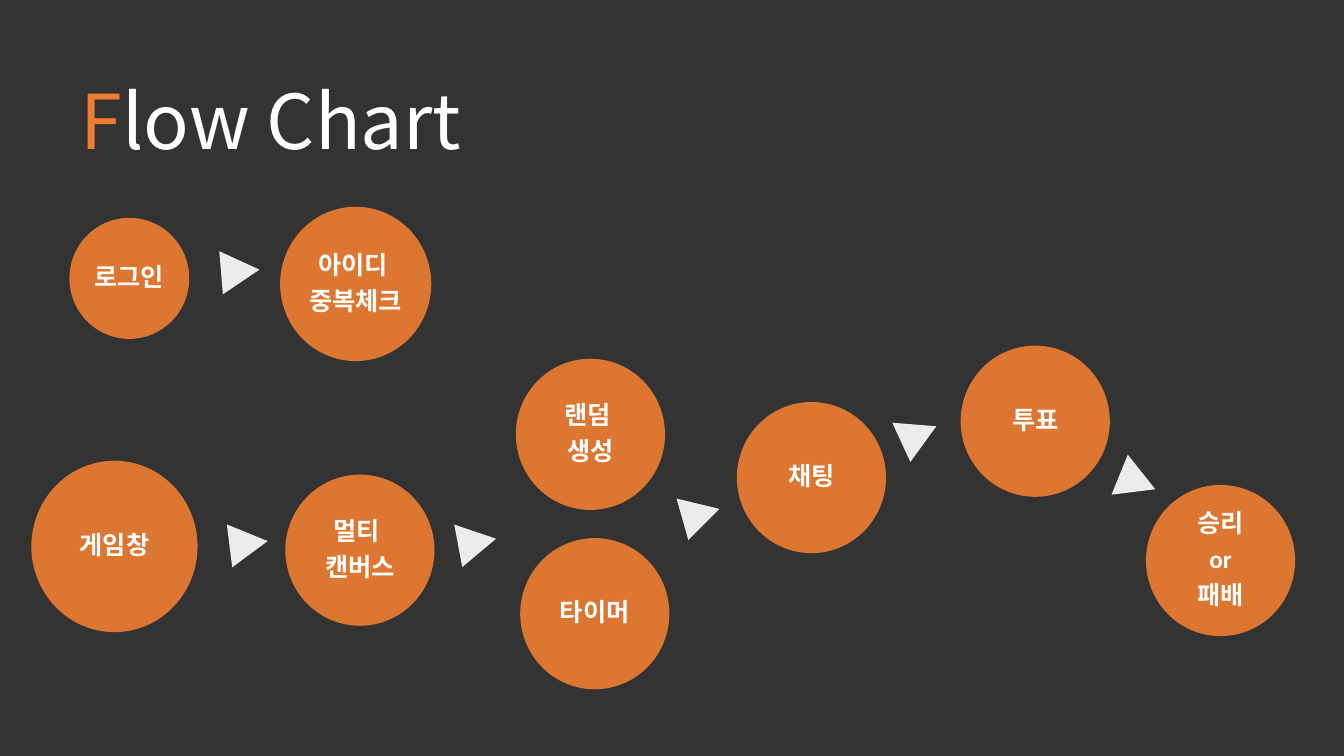
from lxml import etree
from pptx import Presentation
from pptx.dml.color import RGBColor
from pptx.enum.shapes import MSO_SHAPE
from pptx.enum.text import MSO_ANCHOR, MSO_AUTO_SIZE, PP_ALIGN
from pptx.oxml.ns import qn
from pptx.util import Cm, Pt

RECT, OVAL, TRIANGLE = MSO_SHAPE.RECTANGLE, MSO_SHAPE.OVAL, MSO_SHAPE.ISOSCELES_TRIANGLE
MIDDLE, CENTER = MSO_ANCHOR.MIDDLE, PP_ALIGN.CENTER
FIT_SHAPE = MSO_AUTO_SIZE.SHAPE_TO_FIT_TEXT

BLACK = RGBColor(0x00, 0x00, 0x00)
WHITE = RGBColor(0xFF, 0xFF, 0xFF)
ORANGE = RGBColor(0xED, 0x7D, 0x31)

WIDTH, HEIGHT = 33.87, 19.05
STEP_SIZE = (3.76, 3.81)
ARROW_SIZE = (1.09, 0.97)

# Steps: lines, left, top, size
STEPS = [
    (["로그인"], 1.75, 5.49, (3.02, 3.05)),
    (["아이디 ", "중복체크"], 7.06, 5.21, (3.81, 3.89)),
    (["게임창"], 0.79, 11.61, (4.19, 4.32)),
    (["멀티 ", "캔버스"], 7.19, 11.96, STEP_SIZE),
    (["랜덤 ", "생성"], 13.0, 9.04, STEP_SIZE),
    (["타이머"], 13.11, 13.56, STEP_SIZE),
    (["채팅"], 18.57, 10.13, STEP_SIZE),
    (["투표"], 24.21, 8.71, STEP_SIZE),
    (["승리", "or", "패배"], 28.88, 12.22, STEP_SIZE),
]

# Arrows: left, top, rotation
ARROWS = [
    (5.51, 6.35, 85.3),
    (5.72, 13.21, 82.8),
    (11.48, 13.18, 79.4),
    (17.12, 12.47, 74.2),
    (22.61, 10.46, 65.3),
    (28.12, 11.66, 112.2),
]


class FlowSlide:
    title_font, title_size = "Noto Sans CJK KR", Pt(54)
    label_font, label_size = "Calibri", Pt(18)

    def __init__(self, s):
        self.s = s

    def shape(self, kind, left, top, size, color, opacity):
        sp = self.s.shapes.add_shape(kind, Cm(left), Cm(top), Cm(size[0]), Cm(size[1]))
        sp.shadow.inherit = False
        sp.line.fill.background()
        sp.fill.solid()
        sp.fill.fore_color.rgb = color
        clr = sp.fill._xPr.find(qn("a:solidFill"))[0]
        etree.SubElement(clr, qn("a:alpha")).set("val", str(opacity * 1000))
        return sp

    def run(self, p, text, font, size, color, bold=False):
        r = p.add_run()
        r.text = text
        r.font.name, r.font.size, r.font.bold = font, size, bold
        r.font.color.rgb = color

    def title(self, left, top, size, parts):
        sp = self.s.shapes.add_textbox(Cm(left), Cm(top), Cm(size[0]), Cm(size[1]))
        tf = sp.text_frame
        tf.word_wrap = False
        tf.auto_size = FIT_SHAPE
        for text, color in parts:
            self.run(tf.paragraphs[0], text, self.title_font, self.title_size, color)

    def step(self, lines, left, top, size):
        tf = self.shape(OVAL, left, top, size, ORANGE, 91).text_frame
        tf.word_wrap = True
        tf.vertical_anchor = MIDDLE
        tf.margin_left = tf.margin_right = tf.margin_top = tf.margin_bottom = Cm(0.05)
        for i, line in enumerate(lines):
            p = tf.add_paragraph() if i else tf.paragraphs[0]
            p.alignment = CENTER
            p.line_spacing = 0.9
            # Space after as a share of the text size
            after = etree.SubElement(p._p.get_or_add_pPr(), qn("a:spcAft"))
            etree.SubElement(after, qn("a:spcPct")).set("val", "35000")
            self.run(p, line, self.label_font, self.label_size, WHITE, True)

    def arrow(self, left, top, rotation):
        self.shape(TRIANGLE, left, top, ARROW_SIZE, WHITE, 91).rotation = rotation


def main():
    prs = Presentation()
    prs.slide_width, prs.slide_height = Cm(WIDTH), Cm(HEIGHT)
    flow = FlowSlide(prs.slides.add_slide(prs.slide_layouts[6]))

    # Dark backdrop and title
    flow.shape(RECT, 0, 0, (WIDTH, HEIGHT), BLACK, 80)
    flow.title(1.78, 1.73, (10.29, 2.57), [("F", ORANGE), ("low Chart", WHITE)])

    # Flow
    for step in STEPS:
        flow.step(*step)
    for arrow in ARROWS:
        flow.arrow(*arrow)

    prs.save("out.pptx")


if __name__ == "__main__":
    main()
